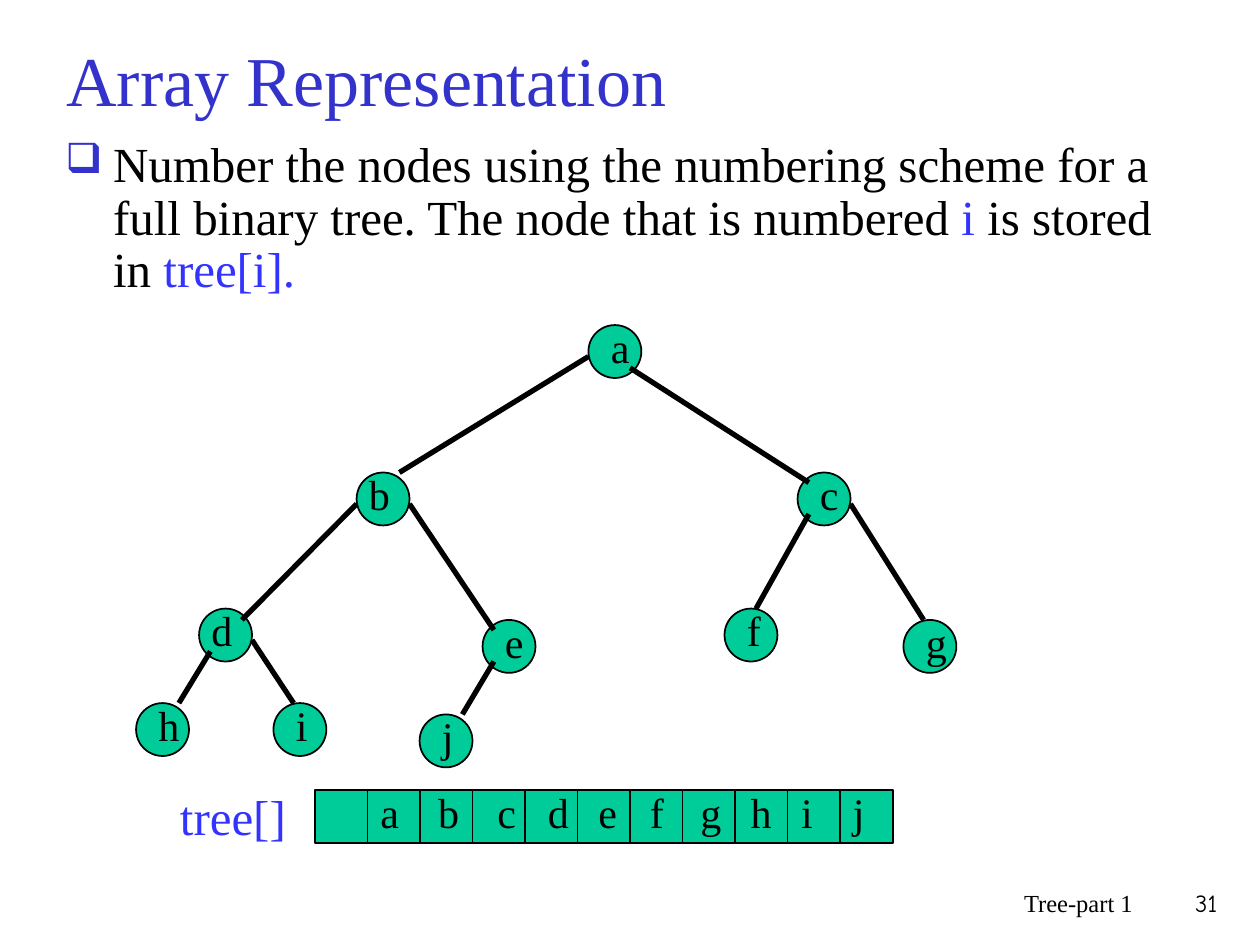
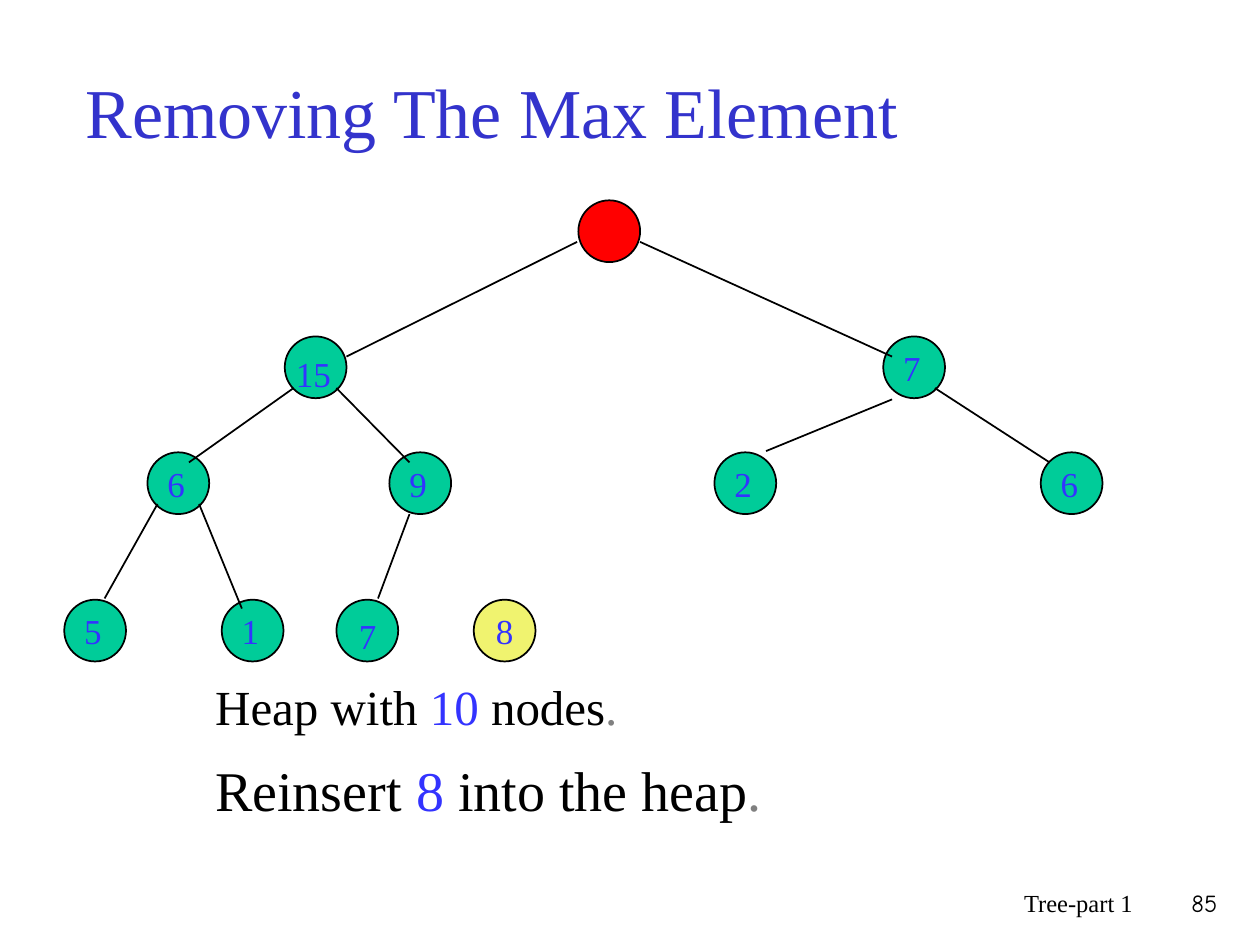
from lxml import etree
from pptx import Presentation
from pptx.dml.color import RGBColor
from pptx.enum.shapes import MSO_CONNECTOR as Connector, MSO_SHAPE as Shape
from pptx.enum.text import MSO_ANCHOR as Anchor, PP_ALIGN as Align
from pptx.oxml.ns import qn
from pptx.util import Inches, Pt

COLORS = {
    "black": "000000",
    "title": "3333CC",
    "accent": "3333FF",
    "node": "00CC99",
    "removed": "FF0000",
    "reinserted": "F0F36F",
    "gray": "808080",
}


def rgb(name):
    return RGBColor.from_string(COLORS[name])


class Deck:
    """Holds the shared style and the slide being drawn."""

    serif = "Times New Roman"
    number_font = "Comic Neue"

    def __init__(self):
        self.presentation = Presentation()
        self.presentation.slide_width = Inches(10)
        self.presentation.slide_height = Inches(7.5)
        self.slide = None

    def add_slide(self, title, title_box, number):
        layout = self.presentation.slide_layouts[6]
        self.slide = self.presentation.slides.add_slide(layout)
        self.text(title_box, title, 40, "title", anchor=Anchor.MIDDLE)
        self.text((5.92, 7, 3.17, 0.5), "Tree-part 1", 14, align=Align.RIGHT)
        self.text((9.08, 7, 0.68, 0.5), str(number), 14, align=Align.RIGHT,
                  font=self.number_font)

    def fill_paragraph(self, paragraph, content, size, color="black", font=None):
        """Fill a paragraph with a string, or with (text, color) runs."""
        paragraph.font.size = Pt(size)
        paragraph.font.name = font or self.serif
        if isinstance(content, str):
            paragraph.add_run().text = content
            paragraph.font.color.rgb = rgb(color)
            return
        for text, run_color in content:
            run = paragraph.add_run()
            run.text = text
            run.font.color.rgb = rgb(run_color)

    def text(self, box, content, size, color="black", align=Align.LEFT,
             anchor=Anchor.TOP, font=None, bullet=None):
        text_box = self.slide.shapes.add_textbox(*map(Inches, box))
        frame = text_box.text_frame
        frame.word_wrap = True
        frame.vertical_anchor = anchor
        paragraph = frame.paragraphs[0]
        paragraph.alignment = align
        if bullet:
            paragraph.line_spacing = 0.9
            self.bullet(paragraph, bullet)
        self.fill_paragraph(paragraph, content, size, color, font)

    def bullet(self, paragraph, character):
        properties = paragraph._p.get_or_add_pPr()
        properties.set("marL", str(Inches(0.38)))
        properties.set("indent", str(-Inches(0.38)))
        color = etree.SubElement(properties, qn("a:buClr"))
        etree.SubElement(color, qn("a:srgbClr"), val=COLORS["title"])
        etree.SubElement(properties, qn("a:buSzPct"), val="85000")
        etree.SubElement(properties, qn("a:buChar"), char=character)

    def block(self, kind, left, top, size, fill="node"):
        """Draw an outlined shape of equal width and height."""
        shape = self.slide.shapes.add_shape(
            kind, Inches(left), Inches(top), Inches(size), Inches(size))
        shape.shadow.inherit = False
        shape.fill.solid()
        shape.fill.fore_color.rgb = rgb(fill)
        shape.line.color.rgb = rgb("black")
        shape.line.width = Pt(1)
        return shape

    def edge(self, start, end, width):
        connector = self.slide.shapes.add_connector(
            Connector.STRAIGHT, *map(Inches, start + end))
        connector.line.color.rgb = rgb("black")
        connector.line.width = Pt(width)
        etree.SubElement(connector._element.spPr, qn("a:effectLst"))

    def tree(self, nodes, edges, node_size, edge_width, label_size, label_color):
        """Draw nodes (label, left, top, label offset, label width) and edges."""
        for _, left, top, _, _ in nodes:
            self.block(Shape.OVAL, left, top, node_size)
        for start, end in edges:
            self.edge(start, end, edge_width)
        for label, left, top, (right, down), width in nodes:
            box = (left + right, top + down, width, label_size / 48)
            self.text(box, label, label_size, label_color)


def array_slide(deck):
    deck.add_slide("Array Representation", (0.43, 0.21, 8.5, 0.83), 31)
    deck.text((0.42, 1.06, 9.17, 1.58), [
        ("Number the nodes using the numbering scheme for a full binary tree. "
         "The node that is numbered ", "black"),
        ("i", "accent"),
        (" is stored in ", "black"),
        ("tree[i].", "accent"),
    ], 28, bullet="❑")

    cell_count, cell_pitch = 11, 5 / 12
    for index in range(cell_count):
        deck.block(Shape.RECTANGLE, 2.5 + index * cell_pitch, 6.27, 0.42)
    deck.text((1.33, 6.19, 1.25, 0.57), "tree[]", 28, "accent")
    letter_lefts = (2.92, 3.38, 3.85, 4.25, 4.65, 5.06, 5.46, 5.86, 6.26, 6.67)
    for letter, left in zip("abcdefghij", letter_lefts):
        deck.text((left, 6.19, 0.36, 0.5), letter, 24)

    shifted, flush = (0.08, -0.08), (0, -0.08)
    nodes = [
        ("a", 4.67, 2.58, shifted, 0.33),
        ("b", 2.83, 3.75, flush, 0.42),
        ("c", 6.33, 3.75, shifted, 0.33),
        ("d", 1.58, 4.83, flush, 0.33),
        ("e", 3.83, 4.92, shifted, 0.33),
        ("f", 5.75, 4.83, shifted, 0.33),
        ("g", 7.17, 4.92, shifted, 0.33),
        ("h", 1.08, 5.58, shifted, 0.33),
        ("i", 2.17, 5.58, shifted, 0.33),
        ("j", 3.33, 5.67, shifted, 0.33),
    ]
    edges = [
        ((4.67, 2.83), (3.17, 3.75)),
        ((5, 2.92), (6.42, 3.83)),
        ((2.83, 4), (1.92, 4.92)),
        ((3.25, 4), (3.92, 5)),
        ((6.42, 4.08), (6, 4.83)),
        ((6.75, 4), (7.33, 4.92)),
        ((1.67, 5.17), (1.42, 5.58)),
        ((2, 5.08), (2.33, 5.58)),
        ((3.92, 5.25), (3.67, 5.67)),
    ]
    deck.tree(nodes, edges, 0.42, 3, 24, "black")


def heap_slide(deck):
    deck.add_slide("Removing The Max Element", (0.58, 0.25, 8.5, 1.25), 85)
    node_size = 0.49
    deck.block(Shape.OVAL, 4.59, 1.59, node_size, "removed")

    centered = (0.06, 0.03)
    nodes = [
        ("15", 2.26, 2.67, (-0.01, 0.08), 0.83),
        ("7", 7.01, 2.67, centered, 0.34),
        ("6", 1.17, 3.59, centered, 0.34),
        ("9", 3.09, 3.59, centered, 0.34),
        ("2", 5.67, 3.59, centered, 0.34),
        ("6", 8.26, 3.59, centered, 0.34),
        ("5", 0.51, 4.76, centered, 0.34),
        ("1", 1.76, 4.76, centered, 0.34),
        ("7", 2.67, 4.76, (0.08, 0.07), 0.25),
    ]
    edges = [
        ((4.58, 1.92), (2.75, 2.83)),
        ((5.08, 1.92), (7.08, 2.83)),
        ((2.33, 3.08), (1.5, 3.67)),
        ((2.67, 3.08), (3.25, 3.67)),
        ((7.08, 3.17), (6.08, 3.58)),
        ((7.42, 3.08), (8.33, 3.67)),
        ((1.25, 4), (0.83, 4.75)),
        ((1.58, 4), (1.92, 4.83)),
        ((3.25, 4.08), (3, 4.75)),
    ]
    deck.tree(nodes, edges, node_size, 1, 20, "accent")

    reinserted = deck.block(Shape.OVAL, 3.76, 4.76, node_size, "reinserted")
    frame = reinserted.text_frame
    frame.word_wrap = False
    frame.vertical_anchor = Anchor.MIDDLE
    frame.paragraphs[0].alignment = Align.CENTER
    deck.fill_paragraph(frame.paragraphs[0], "8", 20, "accent")

    captions = [
        (5.32, 0.5, 28, "Heap with ", "10 ", "nodes"),
        (5.95, 0.63, 32, "Reinsert ", "8 ", "into the heap"),
    ]
    for top, height, size, before, number, after in captions:
        deck.text((1.61, top, 7, height), [
            (before, "black"), (number, "accent"), (after, "black"), (".", "gray"),
        ], size)


def main():
    deck = Deck()
    array_slide(deck)
    heap_slide(deck)
    deck.presentation.save("out.pptx")


if __name__ == "__main__":
    main()
